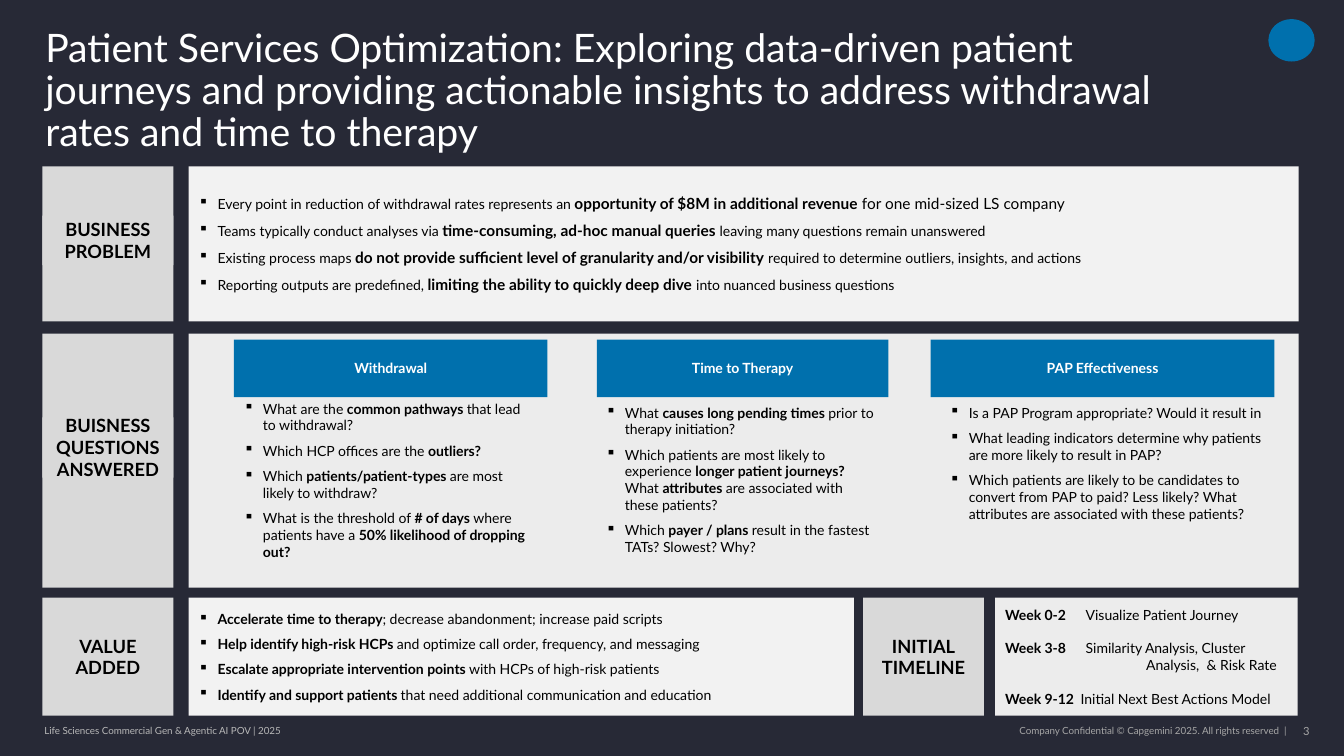
import pptx
import pptx.dml.color
import pptx.enum.shapes
import pptx.enum.text
import pptx.util
from lxml import etree
from pptx.oxml.ns import qn

RGBColor = pptx.dml.color.RGBColor
Inches = pptx.util.Inches
Pt = pptx.util.Pt
ALIGN = pptx.enum.text.PP_ALIGN
ANCHOR = pptx.enum.text.MSO_ANCHOR
SHAPE = pptx.enum.shapes.MSO_SHAPE

NAVY = RGBColor(0x27, 0x29, 0x36)
BLUE = RGBColor(0x00, 0x70, 0xAD)
WHITE = RGBColor(0xFF, 0xFF, 0xFF)
BLACK = RGBColor(0x00, 0x00, 0x00)
LABEL_GRAY = RGBColor(0xD9, 0xD9, 0xD9)
PANEL_GRAY = RGBColor(0xF2, 0xF2, 0xF2)
QUESTION_GRAY = RGBColor(0xEC, 0xEC, 0xEC)
FOOTER_LEFT = RGBColor(0xB8, 0xB8, 0xB8)
FOOTER_RIGHT = RGBColor(0xA6, 0xA6, 0xA6)

# Grid: (start, size) in inches
LABEL_COLUMN = (0.42, 1.3)
PANEL_COLUMN = (1.87, 11.01)
VALUE_COLUMN = (1.87, 6.6)
TIMELINE_LABEL_COLUMN = (8.56, 1.2)
TIMELINE_COLUMN = (9.87, 3)
PROBLEM_ROW = (1.65, 1.54)
QUESTION_ROW = (3.31, 2.52)
HEADING_ROW = (3.37, 0.57)
VALUE_ROW = (5.93, 1.17)
FOOTER_ROW = (7.13, 0.24)
TAB_STEP = 0.6

# Text between asterisks is bold; a leading ~ marks plain text in the bold size
PROBLEMS = [
    "Every point in reduction of withdrawal rates represents an *opportunity of $8M in "
    "additional revenue *~for one mid-sized LS company",
    "Teams typically conduct analyses via *time-consuming, ad-hoc manual queries* leaving "
    "many questions remain unanswered",
    "Existing process maps *do not provide sufficient level of granularity and/or "
    "visibility* required to determine outliers, insights, and actions",
    "Reporting outputs are predefined, *limiting the ability to quickly deep dive *into "
    "nuanced business questions",
]
VALUES = [
    "*Accelerate time to therapy*; decrease abandonment; increase paid scripts",
    "*Help identify high-risk HCPs *and optimize call order, frequency, and messaging",
    "*Escalate appropriate intervention points *with HCPs of high-risk patients",
    "*Identify and support patients *that need additional communication and education",
]
# Heading, heading column, list column, list top, questions
QUESTIONS = [
    ("Withdrawal", (2.32, 3.11), (2.32, 3.07), 3.92, [
        "What are the *common pathways *that lead to withdrawal?",
        "Which HCP offices are the *outliers?*",
        "Which *patients/patient-types *are most likely to withdraw?",
        "What is the threshold of *# of days *where patients have a "
        "*50% likelihood of dropping out?*",
    ]),
    ("Time to Therapy", (5.92, 2.89), (5.91, 2.91), 3.96, [
        "What *causes long pending times *prior to therapy initiation?",
        "Which patients are most likely to experience *longer patient journeys?* What "
        "*attributes *are associated with these patients?",
        "Which *payer / plans *result in the fastest TATs? Slowest? Why?",
    ]),
    ("PAP Effectiveness", (9.23, 3.41), (9.32, 3.32), 3.96, [
        "Is a PAP Program appropriate? Would it result in",
        "What leading indicators determine why patients are more likely to result in PAP?",
        "Which patients are likely to be candidates to convert from PAP to paid? Less "
        "likely? What attributes are associated with these patients?",
    ]),
]
# Week and task, first tab stop
TIMELINE = [
    ("*Week 0-2*\tVisualize Patient Journey", 0.8),
    ("*Week 3-8*\tSimilarity Analysis, Cluster\n\t\tAnalysis,\t& Risk Rate", 0.8),
    ("*Week 9-12*\tInitial Next Best Actions Model", 0.75),
]


def add_panel(slide, column, row, color, kind=SHAPE.RECTANGLE):
    (left, width), (top, height) = column, row
    shape = slide.shapes.add_shape(
        kind, Inches(left), Inches(top), Inches(width), Inches(height))
    shape.shadow.inherit = False
    shape.fill.solid()
    shape.fill.fore_color.rgb = color
    shape.line.fill.background()
    shape.text_frame.word_wrap = True
    shape.text_frame.vertical_anchor = ANCHOR.MIDDLE
    return shape


def add_text_box(slide, column, row, anchor=ANCHOR.TOP, margin=None):
    (left, width), (top, height) = column, row
    box = slide.shapes.add_textbox(Inches(left), Inches(top), Inches(width), Inches(height))
    frame = box.text_frame
    frame.word_wrap = True
    frame.vertical_anchor = anchor
    if margin is not None:
        frame.margin_left = frame.margin_right = Inches(margin)
        frame.margin_top = frame.margin_bottom = Inches(margin)
    return box


def set_font(paragraph, size, color, bold=None, align=ALIGN.LEFT):
    paragraph.alignment = align
    font = paragraph.font
    font.name, font.size, font.bold = "Lato", Pt(size), bold
    font.color.rgb = color


def write_plain(shape, text, size, color, bold=None, align=ALIGN.LEFT):
    shape.text_frame.text = text
    for paragraph in shape.text_frame.paragraphs:
        set_font(paragraph, size, color, bold, align)


def next_paragraph(frame, index):
    return frame.paragraphs[0] if index == 0 else frame.add_paragraph()


def write_marked(paragraph, text, size=10, bold_size=10):
    set_font(paragraph, size, BLACK)
    for index, part in enumerate(text.split("*")):
        bold = index % 2 == 1
        large = bold or part.startswith("~")
        for line_index, line in enumerate(part.lstrip("~").split("\n")):
            if line_index:
                paragraph.add_line_break()
            if line:
                run = paragraph.add_run()
                run.text = line
                run.font.bold = bold
                if large and bold_size != size:
                    run.font.size = Pt(bold_size)


def write_bullets(shape, items, bold_size=10):
    for index, item in enumerate(items):
        paragraph = next_paragraph(shape.text_frame, index)
        paragraph.space_after = Pt(6)
        properties = paragraph._p.get_or_add_pPr()
        properties.set("marL", str(Inches(0.19)))
        properties.set("indent", str(-Inches(0.19)))
        etree.SubElement(properties, qn("a:buChar"), char="▪")
        write_marked(paragraph, item, bold_size=bold_size)


def write_timeline(shape):
    for index, (item, first_stop) in enumerate(TIMELINE):
        paragraph = next_paragraph(shape.text_frame, index)
        paragraph.space_after = Pt(6 if index == len(TIMELINE) - 1 else 12)
        tabs = etree.SubElement(paragraph._p.get_or_add_pPr(), qn("a:tabLst"))
        for step in range(3):
            position = Inches(first_stop + step * TAB_STEP)
            etree.SubElement(tabs, qn("a:tab"), pos=str(position), algn="l")
        write_marked(paragraph, item)


def add_label(slide, text, column, row):
    write_plain(add_panel(slide, column, row, LABEL_GRAY), text, 13, BLACK, True, ALIGN.CENTER)


def add_footer(slide, text, column, size, color, align):
    box = add_text_box(slide, column, FOOTER_ROW, ANCHOR.MIDDLE, 0)
    write_plain(box, text, size, color, align=align)


def main():
    presentation = pptx.Presentation()
    presentation.slide_width, presentation.slide_height = Inches(13.33), Inches(7.5)
    slide = presentation.slides.add_slide(presentation.slide_layouts[6])
    slide.background.fill.solid()
    slide.background.fill.fore_color.rgb = NAVY

    # Title and corner mark
    title = add_text_box(slide, (0.45, 11.28), (0.31, 1.23), ANCHOR.BOTTOM, 0)
    write_plain(title, "Patient Services Optimization: Exploring data-driven patient journeys "
                "and providing actionable insights to address withdrawal rates and time to "
                "therapy", 28, WHITE)
    title.text_frame.paragraphs[0].line_spacing = 0.9
    add_panel(slide, (12.58, 0.46), (0.19, 0.42), BLUE, SHAPE.OVAL)

    # Business problem
    write_bullets(add_panel(slide, PANEL_COLUMN, PROBLEM_ROW, PANEL_GRAY), PROBLEMS, 11)
    add_panel(slide, LABEL_COLUMN, PROBLEM_ROW, LABEL_GRAY)
    add_label(slide, "BUSINESS\vPROBLEM", LABEL_COLUMN, (2.14, 0.49))

    # Business questions
    add_panel(slide, PANEL_COLUMN, QUESTION_ROW, QUESTION_GRAY)
    add_panel(slide, LABEL_COLUMN, QUESTION_ROW, LABEL_GRAY)
    add_label(slide, "BUISNESS QUESTIONS ANSWERED", LABEL_COLUMN, (4.14, 0.6))
    for heading, heading_column, list_column, top, questions in QUESTIONS:
        bar = add_panel(slide, heading_column, HEADING_ROW, BLUE)
        write_plain(bar, heading, 10, WHITE, True, ALIGN.CENTER)
        write_bullets(add_text_box(slide, list_column, (top, 1.7)), questions)

    # Value and timeline
    add_label(slide, "VALUE ADDED", LABEL_COLUMN, VALUE_ROW)
    write_bullets(add_panel(slide, VALUE_COLUMN, VALUE_ROW, PANEL_GRAY), VALUES)
    add_label(slide, "INITIAL\nTIMELINE", TIMELINE_LABEL_COLUMN, VALUE_ROW)
    write_timeline(add_panel(slide, TIMELINE_COLUMN, VALUE_ROW, QUESTION_GRAY))

    # Footer
    add_footer(slide, "Life Sciences Commercial Gen & Agentic AI POV | 2025",
               (0.44, 3.73), 7, FOOTER_LEFT, ALIGN.LEFT)
    add_footer(slide, "Company Confidential © Capgemini 2025. All rights reserved  |",
               (7.8, 4.96), 7, FOOTER_RIGHT, ALIGN.RIGHT)
    add_footer(slide, "3", (12.74, 0.25), 8, FOOTER_RIGHT, ALIGN.RIGHT)

    presentation.save("out.pptx")


if __name__ == "__main__":
    main()
